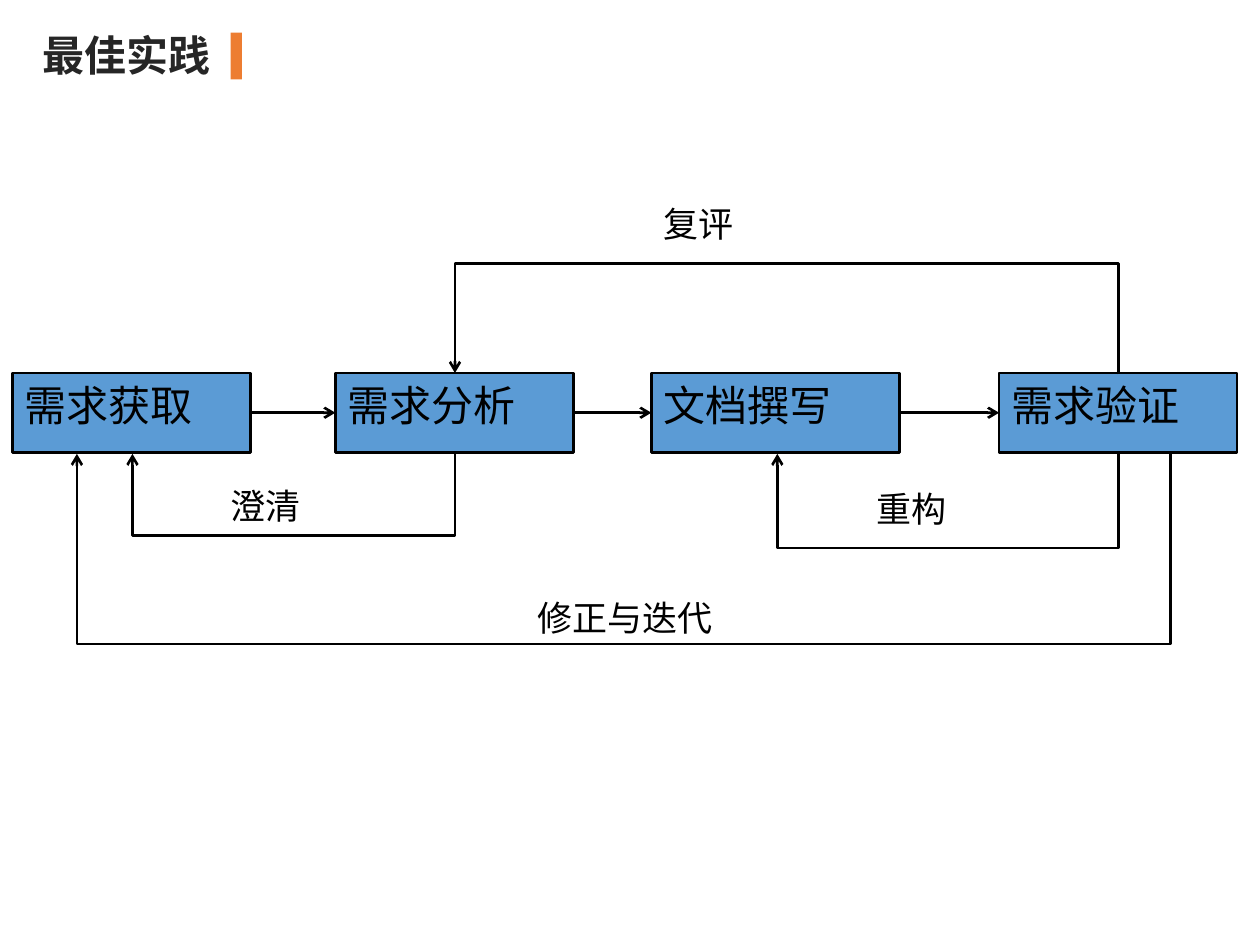
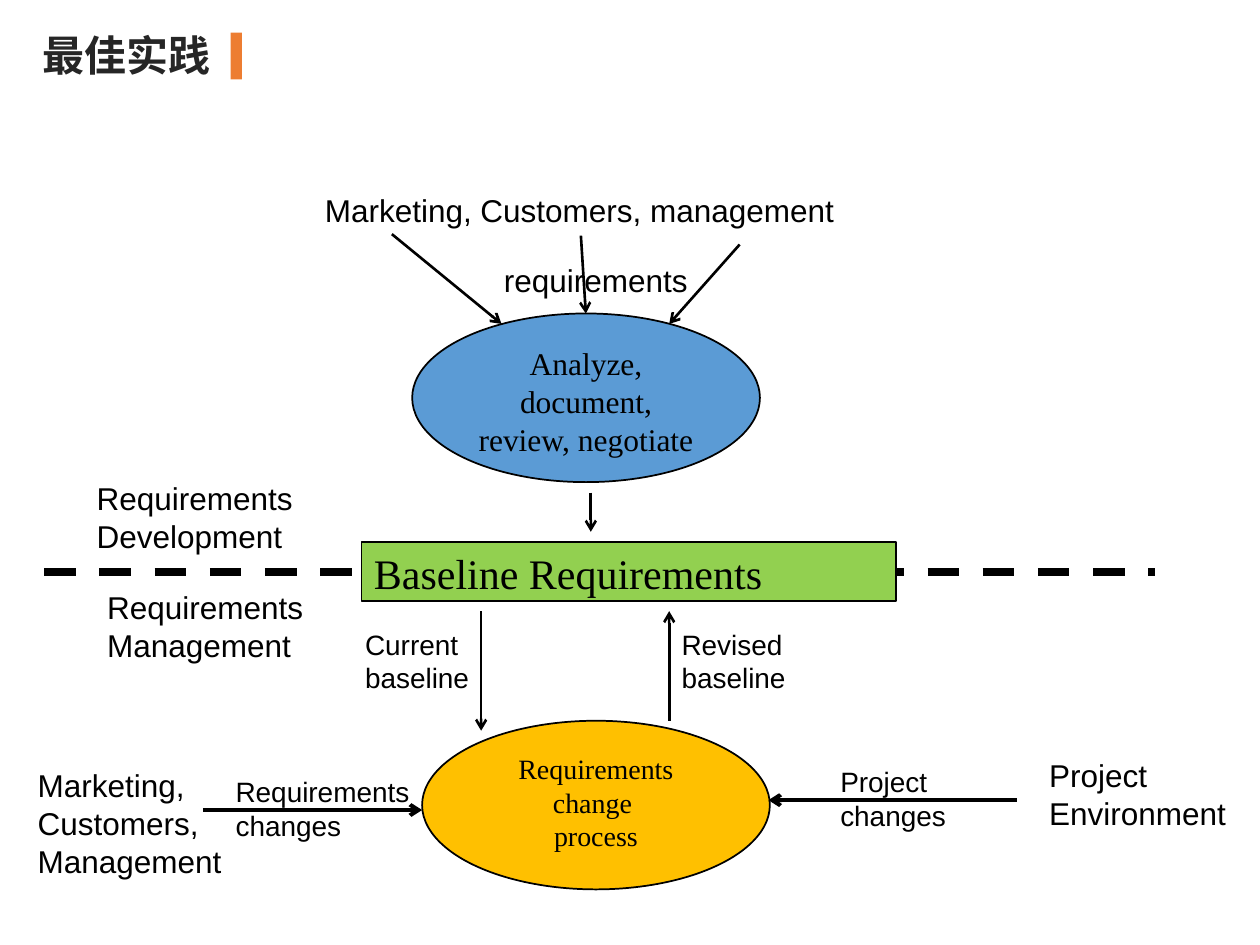
"""Build two slides on requirements engineering best practice."""
from dataclasses import dataclass
from typing import Optional

import pptx
import pptx.dml.color
import pptx.enum.dml
import pptx.enum.shapes
import pptx.enum.text
import pptx.oxml
import pptx.oxml.ns
import pptx.util

Cm = pptx.util.Cm
Pt = pptx.util.Pt
RECT = pptx.enum.shapes.MSO_SHAPE.RECTANGLE
OVAL = pptx.enum.shapes.MSO_SHAPE.OVAL
STRAIGHT = pptx.enum.shapes.MSO_CONNECTOR.STRAIGHT
ELBOW = pptx.enum.shapes.MSO_CONNECTOR.ELBOW
LEFT = pptx.enum.text.PP_ALIGN.LEFT
CENTER = pptx.enum.text.PP_ALIGN.CENTER

BLACK, DARK = "000000", "262626"
BLUE, GREEN, AMBER, ORANGE = "5B9BD5", "92D050", "FFC000", "ED7D31"
SANS, SERIF, CJK = "Arial", "Times New Roman", "Noto Sans CJK SC"
TITLE = "最佳实践"
LOOP_STEP = 0.03


@dataclass(frozen=True)
class Node:
    lines: tuple[str, ...]
    x: float
    y: float
    w: float
    h: float
    fill: str = BLUE
    size: float = 24
    border: float = 1
    kind: int = RECT


@dataclass(frozen=True)
class Label:
    lines: tuple[str, ...]
    x: float
    y: float
    w: float
    h: float
    size: float = 18


@dataclass(frozen=True)
class Line:
    x1: float
    y1: float
    x2: float
    y2: float
    width: float = 1.5
    dashed: bool = False


@dataclass(frozen=True)
class Loop:
    x1: float
    x2: float
    side_y: float
    run_y: float


STEP_Y, STEP_H = 7.52, 1.6
STEPS = [Node((text,), x, STEP_Y, w, STEP_H, border=1.5) for text, x, w in (
    ("需求获取", 0.25, 4.8),
    ("需求分析", 6.76, 4.8),
    ("文档撰写", 13.13, 5),
    ("需求验证", 20.14, 4.8),
)]
LOOPS = [
    Loop(9.17, 2.67, STEP_Y + STEP_H, 10.8),
    Loop(23.6, 1.55, STEP_Y + STEP_H, 12.98),
    Loop(22.55, 9.17, STEP_Y, 5.28),
    Loop(22.55, 15.67, STEP_Y + STEP_H, 11.05),
]
LOOP_LABELS = [
    Label(("澄清",), 4.39, 9.65, 2.79, 1.12, 20),
    Label(("复评",), 13.13, 3.96, 4.8, 1.12, 20),
    Label(("重构",), 17.42, 9.7, 3.61, 1.12, 20),
    Label(("修正与迭代",), 10.59, 11.91, 5.36, 1.12, 20),
]

DIVIDER = Line(0.89, 11.53, 23.29, 11.53, 4.5, True)
ACTIVITIES = [
    Node(("Analyze, document, review, negotiate",), 8.31, 6.32, 7.01, 3.4,
         size=18, kind=OVAL),
    Node(("Baseline Requirements",), 7.29, 10.92, 10.77, 1.19, GREEN),
    Node(("Requirements change ", "process"), 8.51, 14.53, 7.01, 3.4,
         AMBER, 16, kind=OVAL),
]
FLOWS = [
    Line(7.9, 4.72, 10.11, 6.53),
    Line(11.71, 4.75, 11.81, 6.32),
    Line(14.91, 4.93, 13.49, 6.53),
    Line(11.91, 9.93, 11.91, 10.72),
    Line(9.7, 12.32, 9.7, 14.73),
    Line(13.49, 14.53, 13.49, 12.32),
    Line(20.5, 16.13, 15.49, 16.13, 2.25),
    Line(4.09, 16.33, 8.51, 16.33, 2.25),
]
FLOW_LABELS = [
    Label(("Marketing, Customers, management",), 6.3, 3.73, 10.8, 1.02),
    Label(("requirements",), 9.91, 5.13, 4.8, 1.02),
    Label(("Requirements", "Development"), 1.7, 9.53, 5, 1.8),
    Label(("Requirements", "Management"), 1.91, 11.73, 5, 1.8),
    Label(("Project", "Environment"), 20.9, 15.11, 4.5, 1.8),
    Label(("Marketing,", "Customers,", "Management"), 0.51, 15.32, 5.21, 2.57),
    Label(("Project changes",), 16.69, 15.29, 3.2, 1.63, 16),
    Label(("Requirements changes",), 4.5, 15.49, 4.6, 1.63, 16),
    Label(("Revised baseline",), 13.49, 12.52, 4.01, 1.63, 16),
    Label(("Current baseline",), 7.11, 12.52, 3.4, 1.63, 16),
]


def rgb(value: str) -> pptx.dml.color.RGBColor:
    return pptx.dml.color.RGBColor.from_string(value)


def sub(parent, tag: str, **attrs: str):
    el = pptx.oxml.parse_xml(f"<{tag} {pptx.oxml.ns.nsdecls('a')}/>")
    for name, value in attrs.items():
        el.set(name, value)
    parent.append(el)
    return el


def write(sp, lines: tuple[str, ...], size: float, font: str,
          color: str = BLACK, align=LEFT, bold: bool = False,
          wrap: bool = True) -> None:
    tf = sp.text_frame
    tf.word_wrap = wrap
    tf.auto_size = pptx.enum.text.MSO_AUTO_SIZE.NONE
    tf.vertical_anchor = pptx.enum.text.MSO_ANCHOR.TOP
    for i, line in enumerate(lines):
        p = tf.add_paragraph() if i else tf.paragraphs[0]
        p.alignment = align
        r = p.add_run()
        r.text = line
        r.font.size = Pt(size)
        r.font.bold = bold
        r.font.name = font
        r.font.color.rgb = rgb(color)
        sub(r.font._element, "a:ea", typeface=CJK)


def add_block(slide, kind: int, x: float, y: float, w: float, h: float,
              fill: str, border: Optional[float] = None):
    sp = slide.shapes.add_shape(kind, Cm(x), Cm(y), Cm(w), Cm(h))
    sp.shadow.inherit = False
    sp.fill.solid()
    sp.fill.fore_color.rgb = rgb(fill)
    if border is None:
        sp.line.fill.background()
    else:
        sp.line.color.rgb = rgb(BLACK)
        sp.line.width = Pt(border)
    return sp


def add_node(slide, node: Node):
    sp = add_block(slide, node.kind, node.x, node.y, node.w, node.h,
                   node.fill, node.border)
    write(sp, node.lines, node.size, SERIF,
          align=CENTER if node.kind == OVAL else LEFT)
    return sp


def add_label(slide, label: Label) -> None:
    sp = slide.shapes.add_textbox(Cm(label.x), Cm(label.y),
                                  Cm(label.w), Cm(label.h))
    write(sp, label.lines, label.size, SANS)


def add_line(slide, line: Line, kind: int = STRAIGHT):
    sp = slide.shapes.add_connector(kind, Cm(line.x1), Cm(line.y1),
                                    Cm(line.x2), Cm(line.y2))
    sp.line.color.rgb = rgb(BLACK)
    sp.line.width = Pt(line.width)
    if line.dashed:
        sp.line.dash_style = pptx.enum.dml.MSO_LINE.DASH
    else:
        sub(sp.line._get_or_add_ln(), "a:tailEnd", type="arrow")
    sub(sp._element.spPr, "a:effectLst")
    return sp


def add_loop(slide, loop: Loop) -> None:
    span = loop.x1 - loop.x2
    upward = loop.run_y < loop.side_y
    left = (loop.x1 + loop.x2 - LOOP_STEP) / 2
    top = loop.side_y + (LOOP_STEP - span) / 2
    sp = add_line(slide, Line(left, top, left + LOOP_STEP, top + span), ELBOW)
    sp.rotation = 270 if upward else 90
    if upward:
        sp._element.spPr.xfrm.set("flipV", "1")
    ratio = abs(loop.run_y - loop.side_y) / LOOP_STEP
    geom = sp._element.spPr.find(pptx.oxml.ns.qn("a:prstGeom"))
    guides = geom.find(pptx.oxml.ns.qn("a:avLst"))
    sub(guides, "a:gd", name="adj1", fmla=f"val {round(ratio * 100000)}")


def add_titled_slide(prs):
    slide = prs.slides.add_slide(prs.slide_layouts.get_by_name("Title Only"))
    sp = slide.shapes.title
    sp.left, sp.top, sp.width, sp.height = Cm(0.61), Cm(0.46), Cm(3.94), Cm(1.27)
    write(sp, (TITLE,), 24, CJK, DARK, bold=True, wrap=False)
    add_block(slide, RECT, 4.65, 0.66, 0.23, 0.94, ORANGE)
    return slide


def build_process(prs) -> None:
    slide = add_titled_slide(prs)
    steps = [add_node(slide, step) for step in STEPS]
    middle = STEP_Y + STEP_H / 2
    for i in range(len(steps) - 1):
        start, end = STEPS[i], STEPS[i + 1]
        sp = add_line(slide, Line(start.x + start.w, middle, end.x, middle))
        sp.begin_connect(steps[i], 3)
        sp.end_connect(steps[i + 1], 1)
    for loop in LOOPS:
        add_loop(slide, loop)
    for label in LOOP_LABELS:
        add_label(slide, label)


def build_baseline(prs) -> None:
    slide = add_titled_slide(prs)
    add_line(slide, DIVIDER)
    for node in ACTIVITIES:
        add_node(slide, node)
    for flow in FLOWS:
        add_line(slide, flow)
    for label in FLOW_LABELS:
        add_label(slide, label)


def main() -> None:
    prs = pptx.Presentation()
    prs.slide_width, prs.slide_height = Cm(25.4), Cm(19.05)
    build_process(prs)
    build_baseline(prs)
    prs.save("out.pptx")


if __name__ == "__main__":
    main()
